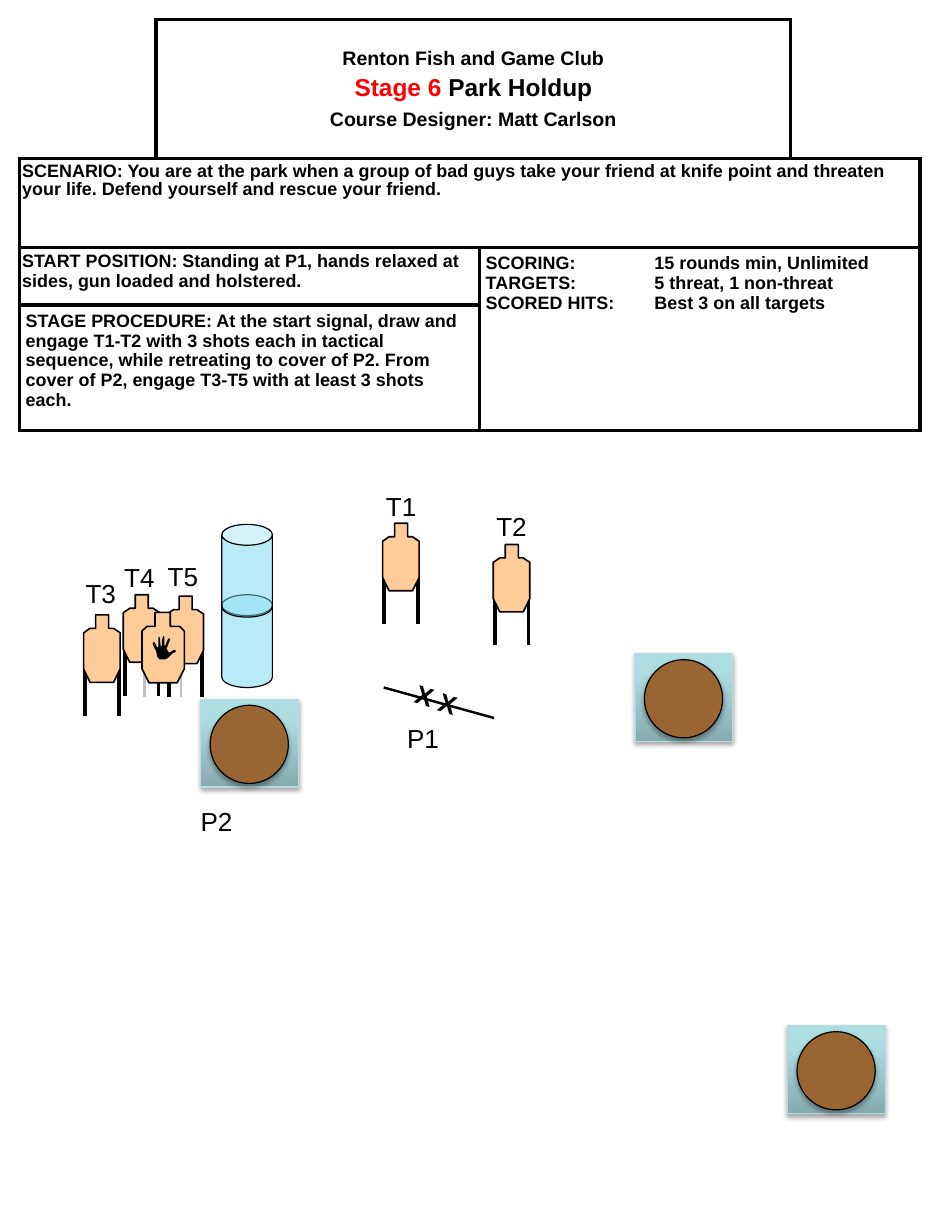
from copy import deepcopy

from lxml import etree
from pptx import Presentation
from pptx import util as u
from pptx.dml import color
from pptx.enum import shapes, text
from pptx.oxml import ns

Pt = u.Pt


def paint(fill, value):
    fill.solid()
    fill.fore_color.rgb = color.RGBColor.from_string(value)


def write(paragraph, content, size=11, bold=True, ink="000000", align=None, before=0, spacing=None):
    paragraph.alignment = align
    paragraph.space_before = Pt(before)
    paragraph.line_spacing = spacing
    run = paragraph.add_run()
    run.text = content
    run.font.name = "Arial"
    run.font.size = Pt(size)
    run.font.bold = bold
    paint(run.font.fill, ink)


presentation = Presentation()
presentation.slide_width = Pt(576)
presentation.slide_height = Pt(756)
slide = presentation.slides.add_slide(presentation.slide_layouts[6])

for left, top in [(123.1, 429), (389.5, 401), (483.1, 629.3)]:
    pad = slide.shapes.add_shape(shapes.MSO_SHAPE.RECTANGLE, Pt(left), Pt(top), Pt(60), Pt(54))
    pad.fill.gradient()
    pad.fill.gradient_angle = 90
    stop = pad.element.spPr.find(".//" + ns.qn("a:gs"))
    stop.addnext(deepcopy(stop))
    stops = [(0, "87ABAE"), (0.8, "AFDEE2"), (1, "AFE0E4")]
    for gradient_stop, (position, value) in zip(pad.fill.gradient_stops, stops):
        gradient_stop.position = position
        gradient_stop.color.rgb = color.RGBColor.from_string(value)
    barrel = slide.shapes.add_shape(shapes.MSO_SHAPE.OVAL, Pt(left + 5.8), Pt(top + 3.8), Pt(48), Pt(48))
    paint(barrel.fill, "996633")
    for shape, outline in [(pad, "B6DCDF"), (barrel, "000000")]:
        paint(shape.line.fill, outline)
        shape.line.width = Pt(0.75)
        shape.shadow.inherit = False
        effects = shape.element.spPr.find(ns.qn("a:effectLst"))
        shadow = etree.SubElement(effects, ns.qn("a:outerShdw"), blurRad=str(Pt(3.1)),
                                  dist=str(Pt(1.8)), dir="5400000", rotWithShape="0")
        shade = etree.SubElement(shadow, ns.qn("a:srgbClr"), val="000000")
        etree.SubElement(shade, ns.qn("a:alpha"), val="35000")

threats = [(75.6, 365), (102.5, 365.8), (234.7, 321.1), (302.6, 334.1), (51.3, 377.3)]
strokes = [(235.4, 421.9, 303.1, 440.6, "000000", 1.5)]
for x in (88.6, 110.9):
    strokes.append((x, 399.6, x, 427.7, "C0C0C0", 1.5))
for left, top in threats:
    for x in (left + 1, left + 21.6):
        strokes.append((x, top + 30.5, x, top + 62, "000000", 2.25))
for x1, y1, x2, y2, ink, width in strokes:
    stroke = slide.shapes.add_connector(shapes.MSO_CONNECTOR.STRAIGHT, Pt(x1), Pt(y1), Pt(x2), Pt(y2))
    paint(stroke.line.fill, ink)
    stroke.line.width = Pt(width)
    etree.SubElement(stroke.element.spPr, ns.qn("a:effectLst"))

threat_outline = [(7.4, 0), (15.4, 0), (15.4, 8.3), (18.4, 8.3), (22.4, 11), (22.4, 33.2),
                  (18.4, 41.4), (4, 41.4), (0, 33.2), (0, 11), (4, 8.3), (7.4, 8.3)]
hostage_outline = [(8, 0), (17.3, 0), (17.3, 8.6), (23, 8.6), (26, 11.5), (26, 34.6),
                   (21.6, 43.2), (4.3, 43.2), (0, 34.6), (0, 11.5), (3, 8.6), (8, 8.6)]
hand_outline = [(9.4, 13.7), (7.9, 14.4), (4.3, 14.4), (2.9, 13), (2.2, 9.4), (0.7, 6.5), (0, 5),
                (0.7, 3.6), (1.4, 4.3), (2.9, 7.2), (3.6, 6.5), (3.6, 0.7), (4.3, 0.7), (5, 6.1),
                (5.8, 6.5), (5.8, 2.9), (6.5, 0), (7.2, 0.7), (7.2, 6.1), (7.9, 5.8), (9.4, 2.2),
                (10.1, 1.4), (10.8, 2.2), (8.6, 7.9), (9.4, 9.4), (10.1, 10.1), (10.8, 10.1),
                (13, 8.6), (13.7, 8.6), (14.4, 9.4), (13.7, 10.1), (12.2, 10.8), (10.8, 12.2)]
silhouettes = [(left, top, threat_outline, "FFCC99") for left, top in threats]
silhouettes.append((87.1, 375.8, hostage_outline, "FDCC99"))
silhouettes.append((93.6, 390.2, hand_outline, "000000"))
for left, top, outline, fill in silhouettes:
    points = [(Pt(left + x), Pt(top + y)) for x, y in outline]
    builder = slide.shapes.build_freeform(*points[0])
    builder.add_line_segments(points[1:])
    silhouette = builder.convert_to_shape()
    silhouette.shadow.inherit = False
    paint(silhouette.fill, fill)
    if outline is hand_outline:
        silhouette.line.fill.background()
    else:
        paint(silhouette.line.fill, "000000")
        silhouette.line.width = Pt(1)

for top in (365, 321.8):
    can = slide.shapes.add_shape(shapes.MSO_SHAPE.CAN, Pt(136.1), Pt(top), Pt(31), Pt(56.9))
    can.adjustments[0] = 0.413
    can.shadow.inherit = False
    paint(can.fill, "73D9F1")
    tint = can.element.spPr.find(ns.qn("a:solidFill"))[0]
    etree.SubElement(tint, ns.qn("a:alpha"), val="50000")
    paint(can.line.fill, "000000")
    can.line.width = Pt(0.75)

labels = [("X X", 247.7, 416.2, 41.8, 17.6, True), ("T1", 229.7, 297.4, 33.1, 0, False),
          ("T2", 297.4, 309.6, 33.1, 0, False), ("T3", 45.4, 350.6, 33.1, 0, False),
          ("T4", 69.1, 341.3, 33.1, 0, False), ("T5", 95.8, 340.6, 33.1, 0, False),
          ("P1", 242.6, 439.9, 34, 0, False), ("P2", 115.9, 491, 34, 0, False)]
for content, left, top, width, rotation, bold in labels:
    label = slide.shapes.add_textbox(Pt(left), Pt(top), Pt(width), Pt(26.6))
    label.rotation = rotation
    label.text_frame.word_wrap = False
    label.text_frame.auto_size = text.MSO_AUTO_SIZE.SHAPE_TO_FIT_TEXT
    write(label.text_frame.paragraphs[0], content, size=16, bold=bold)

columns = [83.5, 198.7, 190.8, 79.2]
rows = [85, 54.7, 35.3, 77]
frame = slide.shapes.add_table(4, 4, Pt(12.2), Pt(12.2), Pt(sum(columns)), Pt(sum(rows)))
table = frame.table
table.first_row = False
table.horz_banding = False
for column, width in zip(table.columns, columns):
    column.width = Pt(width)
for row, height in zip(table.rows, rows):
    row.height = Pt(height)

corner_sides = {(0, 0): "RB", (0, 3): "LB"}
for row in range(4):
    for column in range(4):
        cell = table.cell(row, column)
        properties = cell._tc.get_or_add_tcPr()
        for side in "LRTB":
            border = etree.SubElement(properties, ns.qn("a:ln" + side), w=str(Pt(2.25)))
            if side in corner_sides.get((row, column), "LRTB"):
                solid = etree.SubElement(border, ns.qn("a:solidFill"))
                etree.SubElement(solid, ns.qn("a:srgbClr"), val="000000")
            else:
                etree.SubElement(border, ns.qn("a:noFill"))
        paint(cell.fill, "FFFFFF")

for first, last, side_inset, end_inset in [((0, 1), (0, 2), 3.6, 3.6), ((1, 0), (1, 3), 1.4, 2.9),
                                           ((2, 0), (2, 1), 1.4, 2.2), ((2, 2), (3, 3), 3.6, 3.6),
                                           ((3, 0), (3, 1), 3.6, 3.6)]:
    cell = table.cell(*first)
    cell.merge(table.cell(*last))
    cell.margin_left = cell.margin_right = Pt(side_inset)
    cell.margin_top = cell.margin_bottom = Pt(end_inset)

heading = table.cell(0, 1)
heading.vertical_anchor = text.MSO_ANCHOR.MIDDLE
center = text.PP_ALIGN.CENTER
club = heading.text_frame.paragraphs[0]
write(club, "Renton Fish and Game Club", size=12, align=center)
stage = heading.text_frame.add_paragraph()
write(stage, "Stage 6", size=15, ink="FF0000", align=center, before=3)
write(stage, " Park Holdup", size=15, align=center, before=3)
designer = heading.text_frame.add_paragraph()
write(designer, "Course Designer: Matt Carlson", size=12, align=center, before=4)

write(table.cell(1, 0).text_frame.paragraphs[0],
      "SCENARIO: You are at the park when a group of bad guys take your friend at knife point "
      "and threaten your life. Defend yourself and rescue your friend.", spacing=0.9)
write(table.cell(2, 0).text_frame.paragraphs[0],
      "START POSITION: Standing at P1, hands relaxed at sides, gun loaded and holstered.")
write(table.cell(3, 0).text_frame.paragraphs[0],
      "STAGE PROCEDURE: At the start signal, draw and engage T1-T2 with 3 shots each in tactical "
      "sequence, while retreating to cover of P2. From cover of P2, engage T3-T5 with at least "
      "3 shots each.")

scoring = table.cell(2, 2).text_frame
for index, content in enumerate(["SCORING:\t15 rounds min, Unlimited",
                                 "TARGETS:\t5 threat, 1 non-threat",
                                 "SCORED HITS:\tBest 3 on all targets"]):
    paragraph = scoring.add_paragraph() if index else scoring.paragraphs[0]
    tabs = etree.SubElement(paragraph._p.get_or_add_pPr(), ns.qn("a:tabLst"))
    etree.SubElement(tabs, ns.qn("a:tab"), pos=str(Pt(103.5)), algn="l")
    write(paragraph, content)

presentation.save("out.pptx")
